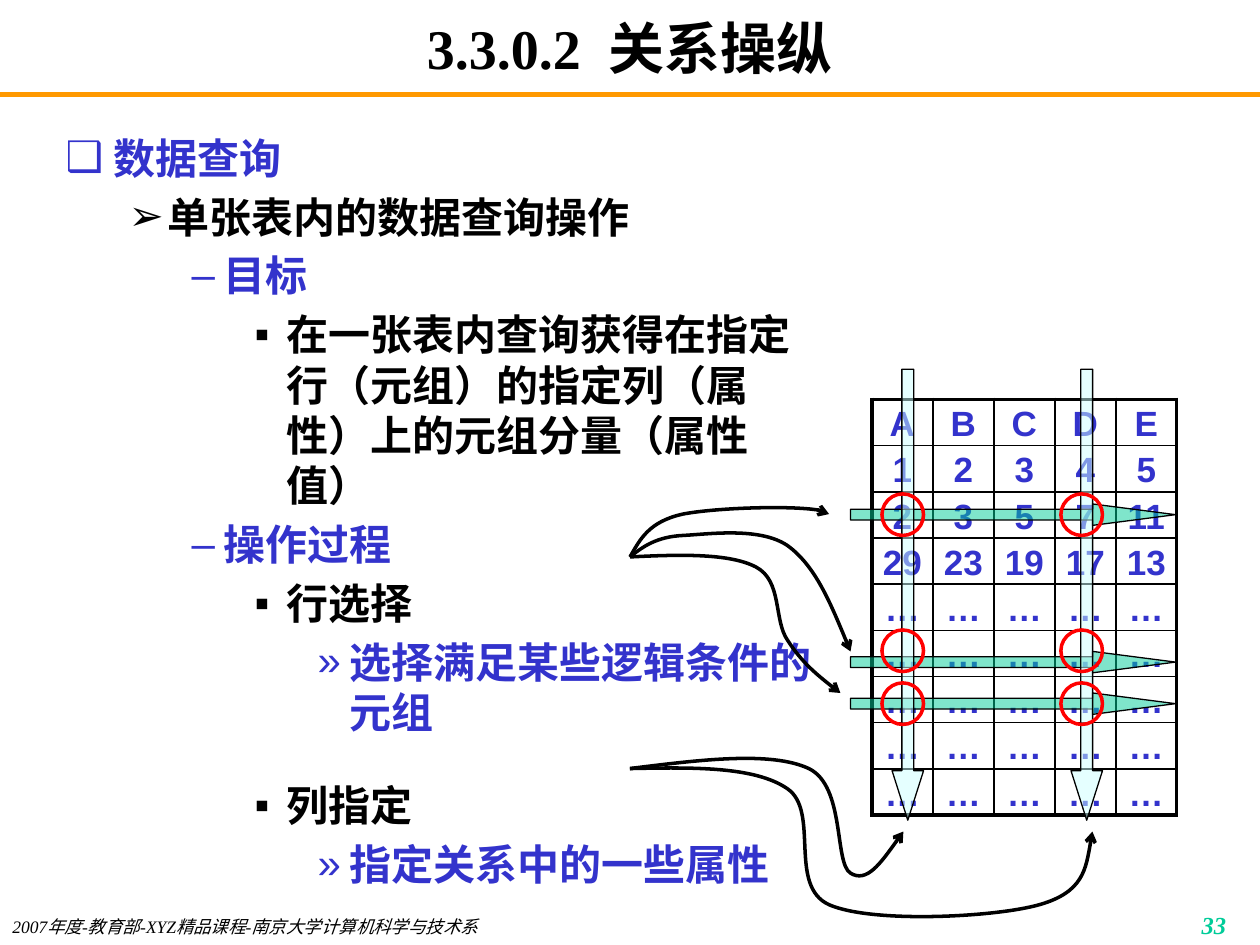
from lxml import etree
from pptx import Presentation
from pptx.dml.color import RGBColor
from pptx.enum.shapes import MSO_CONNECTOR, MSO_SHAPE
from pptx.enum.text import MSO_ANCHOR, MSO_AUTO_SIZE, PP_ALIGN
from pptx.oxml.ns import qn
from pptx.util import Inches, Pt

LEFT, CENTER, RIGHT = PP_ALIGN.LEFT, PP_ALIGN.CENTER, PP_ALIGN.RIGHT
TOP, MIDDLE = MSO_ANCHOR.TOP, MSO_ANCHOR.MIDDLE
SERIF, SANS = "Times New Roman", "Arial"
BLACK, BLUE, GREEN = "000000", "3333CC", "00CC99"
ORANGE, RED, PALE = "FF9900", "FF0000", "CCFFFF"

# Content
TITLE = ("3.3.0.2", "关系操纵")
FOOTER = "2007年度-教育部-XYZ精品课程-南京大学计算机科学与技术系"
PAGE_NUMBER = "33"
OUTLINE = [  # level, text, space before in points
    (0, "数据查询", 0),
    (1, "单张表内的数据查询操作", 4.8),
    (2, "目标", 4.8),
    (3, "在一张表内查询获得在指定行（元组）的指定列（属性）上的元组分量（属性值）", 4.8),
    (2, "操作过程", 4.8),
    (3, "行选择", 4.8),
    (4, "选择满足某些逻辑条件的元组", 4.8),
    (3, "列指定", 24.5),
    (4, "指定关系中的一些属性", 4.8),
]
LEVELS = [  # bullet, left margin, hanging indent, colour
    ("❑", 0.38, 0.38, BLUE),
    ("➢", 0.81, 0.31, BLACK),
    ("–", 1.25, 0.25, BLUE),
    ("▪", 1.75, 0.25, BLACK),
    ("»", 2.25, 0.25, BLUE),
]
RELATION = [list("ABCDE"), list("12345"), ["2", "3", "5", "7", "11"],
            ["29", "23", "19", "17", "13"]] + [["…"] * 5 for _ in range(5)]
TABLE_BOX = (6.92, 3.17, 2.42, 3.3)
ROW_ARROWS_Y = (4, 5.5, 5.17)
COLUMN_ARROWS_X = (7.08, 8.5)
CIRCLES_X, CIRCLES_Y = (7, 8.42), (3.92, 5, 5.42)
# Each curve: start point, then three points per Bézier segment
ROW_CURVES = [
    [(5, 4.42), (5.08, 4.28), (5.15, 4.14), (5.42, 4.08),
     (5.68, 4.03), (6.54, 4), (6.58, 4.08)],
    [(5, 4.42), (5.4, 4.4), (5.79, 4.39), (6, 4.5), (6.21, 4.61),
     (6.14, 4.92), (6.25, 5.08), (6.36, 5.25), (6.51, 5.38), (6.67, 5.5)],
    [(5, 4.42), (5.1, 4.34), (5.21, 4.26), (5.42, 4.25), (5.62, 4.24),
     (6.03, 4.18), (6.25, 4.33), (6.47, 4.49), (6.61, 4.83), (6.75, 5.17)],
]
COLUMN_CURVES = [
    [(5, 6.1), (5.56, 6.03), (6.12, 5.96), (6.42, 6.1), (6.71, 6.24),
     (6.62, 6.85), (6.75, 6.93), (6.88, 7.01), (7.02, 6.81), (7.17, 6.6)],
    [(5, 6.1), (5.49, 6.09), (5.99, 6.08), (6.25, 6.26),
     (6.51, 6.44), (6.25, 7.03), (6.58, 7.18), (6.92, 7.33), (7.9, 7.28),
     (8.25, 7.18), (8.6, 7.08), (8.63, 6.84), (8.67, 6.6)],
]


def rgb(value):
    return RGBColor.from_string(value)


def inches(values):
    return [Inches(value) for value in values]


def add_span(para, text, size, color, font=SERIF, bold=True, italic=False):
    span = para.add_run()
    span.text = text
    span.font.size, span.font.name = Pt(size), font
    span.font.bold, span.font.italic = bold, italic
    span.font.color.rgb = rgb(color)
    return span


def place(shape, box, anchor):
    shape.left, shape.top, shape.width, shape.height = inches(box)
    frame = shape.text_frame
    frame.word_wrap, frame.auto_size = True, MSO_AUTO_SIZE.NONE
    frame.vertical_anchor = anchor
    return frame


def set_line(shape, color, width):
    shape.line.color.rgb, shape.line.width = rgb(color), Pt(width)


def add_text(page, box, align, text, size, color, bold):
    frame = place(page.shapes.add_textbox(*inches(box)), box, TOP)
    para = frame.paragraphs[0]
    para.alignment = align
    add_span(para, text, size, color, bold=bold, italic=True)


def add_preset(page, kind, box, line, width, fill=None, adjust=()):
    shape = page.shapes.add_shape(kind, *inches(box))
    shape.shadow.inherit = False
    set_line(shape, line, width)
    for index, value in enumerate(adjust):
        shape.adjustments[index] = value
    if fill is None:
        shape.fill.background()
        return
    shape.fill.solid()
    shape.fill.fore_color.rgb = rgb(fill)
    tint = shape.element.spPr.find(qn("a:solidFill"))[0]
    etree.SubElement(tint, qn("a:alpha"), val="50000")


def add_curve(page, points):
    start, *rest = [tuple(inches(point)) for point in points]
    builder = page.shapes.build_freeform(*start)
    builder.add_line_segments(rest, close=False)
    shape = builder.convert_to_shape()
    shape.shadow.inherit = False
    shape.fill.background()
    set_line(shape, BLACK, 2)
    # Every three straight steps become one cubic segment
    steps = list(shape.element.iter(qn("a:lnTo")))
    for first in range(0, len(steps), 3):
        cubic = etree.Element(qn("a:cubicBezTo"))
        steps[first].addprevious(cubic)
        for step in steps[first:first + 3]:
            cubic.append(step[0])
            step.getparent().remove(step)
    outline = shape.element.spPr.find(qn("a:ln"))
    etree.SubElement(outline, qn("a:tailEnd"), type="arrow")


def add_border(cell, side, width):
    edge = etree.SubElement(cell._tc.get_or_add_tcPr(), qn("a:ln" + side), w=str(Pt(width)))
    paint = etree.SubElement(edge, qn("a:solidFill"))
    etree.SubElement(paint, qn("a:srgbClr"), val=BLACK)


def add_relation(page):
    rows, columns = len(RELATION), len(RELATION[0])
    x, y, width, height = inches(TABLE_BOX)
    table = page.shapes.add_table(rows, columns, x, y, width, height).table
    table.first_row = table.horz_banding = False
    for column in table.columns:
        column.width = width // columns
    for r, values in enumerate(RELATION):
        table.rows[r].height = height // rows
        for c, value in enumerate(values):
            cell = table.cell(r, c)
            outer = {"L": c == 0, "R": c == columns - 1, "T": r == 0, "B": r == rows - 1}
            for side, thick in outer.items():
                add_border(cell, side, 2.25 if thick else 1)
            cell.fill.background()
            cell.margin_left = cell.margin_right = cell.margin_top = cell.margin_bottom = 0
            cell.vertical_anchor = MIDDLE
            para = cell.text_frame.paragraphs[0]
            para.alignment, para.line_spacing = CENTER, 1.1
            add_span(para, value, 20, BLUE, SANS)


def add_outline(frame):
    for index, (level, text, before) in enumerate(OUTLINE):
        bullet, margin, hanging, color = LEVELS[level]
        para = frame.add_paragraph() if index else frame.paragraphs[0]
        para.level, para.alignment, para.space_before = level, LEFT, Pt(before)
        properties = para._p.get_or_add_pPr()
        properties.set("marL", str(Inches(margin)))
        properties.set("indent", str(-Inches(hanging)))
        etree.SubElement(properties, qn("a:buChar"), char=bullet)
        add_span(para, text, 24, color)


def main():
    deck = Presentation()
    deck.slide_width, deck.slide_height = Inches(10), Inches(7.5)
    page = deck.slides.add_slide(deck.slide_layouts[1])

    # Header rule, footer and page number
    rule = page.shapes.add_connector(MSO_CONNECTOR.STRAIGHT, *inches((0, 0.75, 10, 0.75)))
    set_line(rule, ORANGE, 3)
    etree.SubElement(rule.element.spPr, qn("a:effectLst"))
    add_text(page, (0, 7.22, 6.1, 0.28), LEFT, FOOTER, 10, BLACK, False)
    add_text(page, (7.75, 7.17, 2.08, 0.25), RIGHT, PAGE_NUMBER, 14, GREEN, True)

    # Title, with a widened space after the section number
    heading = place(page.shapes.title, (0.75, 0.08, 8.5, 0.58), MIDDLE).paragraphs[0]
    heading.alignment = CENTER
    number, name = TITLE
    add_span(heading, number, 32, BLACK)
    gap = add_span(heading, " ", 32, BLACK)
    gap._r.get_or_add_rPr().set("spc", "800")
    add_span(heading, name, 32, BLACK)

    # Outline and relation table
    add_outline(place(page.placeholders[1], (0.42, 1, 6.24, 5.92), TOP))
    add_relation(page)

    # Row selection
    for y in ROW_ARROWS_Y:
        add_preset(page, MSO_SHAPE.RIGHT_ARROW, (6.75, y, 2.58, 0.17),
                   BLACK, 0.75, GREEN, (0.5, 3.875))
    for curve in ROW_CURVES:
        add_curve(page, curve)

    # Column selection
    for x in COLUMN_ARROWS_X:
        add_preset(page, MSO_SHAPE.DOWN_ARROW, (x, 2.93, 0.25, 3.58),
                   BLACK, 0.75, PALE, (0.375, 1.573))
    for curve in COLUMN_CURVES:
        add_curve(page, curve)

    # Selected components
    for x in CIRCLES_X:
        for y in CIRCLES_Y:
            add_preset(page, MSO_SHAPE.OVAL, (x, y, 0.33, 0.33), RED, 2)

    deck.save("out.pptx")


if __name__ == "__main__":
    main()
